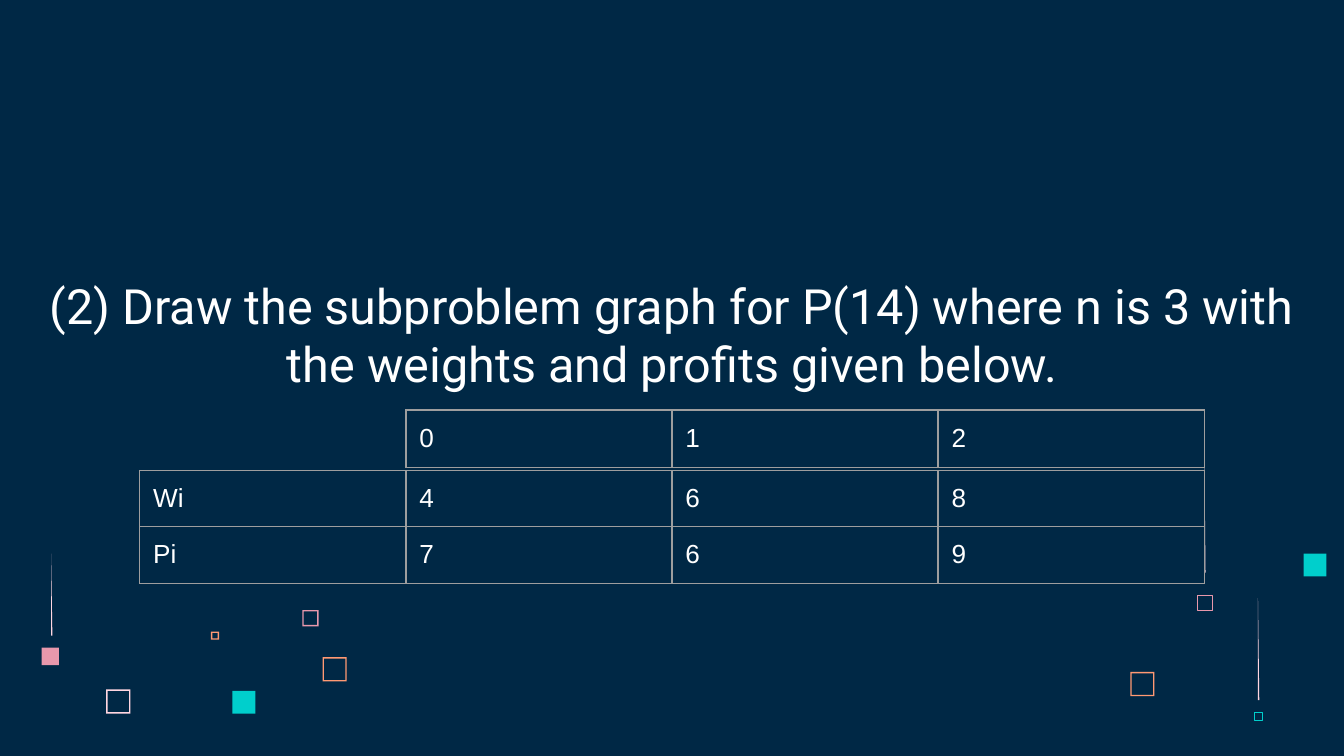
from lxml import etree
from pptx import Presentation
from pptx.dml.color import RGBColor
from pptx.enum.shapes import MSO_SHAPE
from pptx.enum.text import MSO_ANCHOR, MSO_AUTO_SIZE, PP_ALIGN
from pptx.oxml.ns import qn
from pptx.util import Inches, Pt

FRAME, SQUARE = MSO_SHAPE.FRAME, MSO_SHAPE.RECTANGLE
BOTTOM, CENTER, NO_FIT = MSO_ANCHOR.BOTTOM, PP_ALIGN.CENTER, MSO_AUTO_SIZE.NONE

NAVY = RGBColor(0x00, 0x28, 0x45)
WHITE = RGBColor(0xFF, 0xFF, 0xFF)
GREY = RGBColor(0x9E, 0x9E, 0x9E)
TEAL = RGBColor(0x00, 0xCF, 0xCC)
ROSE = RGBColor(0xE8, 0x98, 0xAC)
BLUSH = RGBColor(0xFF, 0xD6, 0xE1)
ORANGE = RGBColor(0xFF, 0x99, 0x73)

SLIDE_WIDTH = Inches(10)
SLIDE_HEIGHT = SLIDE_WIDTH * 9 // 16
UNIT = SLIDE_WIDTH // 1000
MARGIN = 10 * UNIT
TABLE_COLUMN = 198

TITLE = ("(2) Draw the subproblem graph for P(14) where n is 3 with "
         "the weights and profits given below.")
INDEX_ROWS = [["0", "1", "2"]]
VALUE_ROWS = [["Wi", "4", "6", "8"], ["Pi", "7", "6", "9"]]

LEFT_SQUARES = [
    (FRAME, 48, 101, 18, BLUSH),
    (FRAME, 194, 42, 12, ROSE),
    (FRAME, 126, 58, 6, ORANGE),
    (FRAME, 209, 77, 18, ORANGE),
    (SQUARE, 142, 102, 17, TEAL),
    (SQUARE, 0, 70, 13, ROSE),
]
LEFT_STREAKS = [(7, 0, 61)]
RIGHT_SQUARES = [
    (FRAME, 0, 171, 18, ORANGE),
    (SQUARE, 129, 83, 17, TEAL),
]
RIGHT_OUTLINES = [
    (SQUARE, 50, 114, 11, ROSE),
    (SQUARE, 92, 201, 6, TEAL),
]
RIGHT_STREAKS = [(55, 0, 97), (95, 116, 76)]


def paint(shape, color):
    """Give a shape a plain fill with no outline or shadow."""
    shape.shadow.inherit = False
    shape.fill.solid()
    shape.fill.fore_color.rgb = color
    shape.line.fill.background()


def outline(shape, color):
    """Give a shape a hairline outline with no fill or shadow."""
    shape.shadow.inherit = False
    shape.fill.background()
    shape.line.color.rgb = color
    shape.line.width = Pt(0.23)


def add_squares(slide, left, top, squares, finish):
    """Scatter squares from the corner of a region in the given finish."""
    for kind, column, row, size, color in squares:
        square = slide.shapes.add_shape(
            kind, (left + column) * UNIT, (top + row) * UNIT, size * UNIT, size * UNIT)
        if kind == FRAME:
            square.adjustments[0] = 1 / size
        finish(square, color)


def add_streaks(slide, left, top, streaks):
    """Draw tapering vertical streaks from the corner of a region."""
    for column, row, length in streaks:
        x, y = left + column, top + row
        builder = slide.shapes.build_freeform(x, y, scale=UNIT)
        builder.add_line_segments([(x, y + length), (x + 1, y + length)])
        paint(builder.convert_to_shape(), BLUSH)


def format_font(font, name, size):
    """Set a white font of the given name and point size."""
    font.name, font.size, font.color.rgb = name, Pt(size), WHITE


def add_title(slide, left, top, width, height):
    """Place the question in the title placeholder."""
    title = slide.shapes.title
    title.left, title.top = left * UNIT, top * UNIT
    title.width, title.height = width * UNIT, height * UNIT
    frame = title.text_frame
    frame.text = TITLE
    frame.word_wrap, frame.auto_size = True, NO_FIT
    frame.vertical_anchor = BOTTOM
    frame.margin_left = frame.margin_right = MARGIN
    frame.margin_top = frame.margin_bottom = MARGIN
    paragraph = frame.paragraphs[0]
    paragraph.alignment = CENTER
    format_font(paragraph.runs[0].font, "Roboto", 26)


def outline_cell(cell):
    """Draw a thin grey border on each side of a cell."""
    properties = cell._tc.get_or_add_tcPr()
    for side in ("a:lnL", "a:lnR", "a:lnT", "a:lnB"):
        line = etree.SubElement(properties, qn(side), w=str(Pt(0.75)))
        fill = etree.SubElement(line, qn("a:solidFill"))
        etree.SubElement(fill, qn("a:srgbClr"), val=str(GREY))


def add_grid_table(slide, left, top, row_height, rows):
    """Add an unfilled, outlined table of equal columns."""
    table = slide.shapes.add_table(
        len(rows), len(rows[0]), left * UNIT, top * UNIT,
        len(rows[0]) * TABLE_COLUMN * UNIT, len(rows) * row_height * UNIT).table
    table.first_row = table.horz_banding = False
    for row_index, row in enumerate(rows):
        for column_index, text in enumerate(row):
            cell = table.cell(row_index, column_index)
            cell.text = text
            cell.margin_left = cell.margin_right = MARGIN
            cell.margin_top = cell.margin_bottom = MARGIN
            format_font(cell.text_frame.paragraphs[0].runs[0].font, "Arial", 14)
            outline_cell(cell)
            cell.fill.background()


def main():
    """Build and save the slide."""
    presentation = Presentation()
    presentation.slide_width, presentation.slide_height = SLIDE_WIDTH, SLIDE_HEIGHT
    slide = presentation.slides.add_slide(presentation.slide_layouts[0])
    slide.background.fill.solid()
    slide.background.fill.fore_color.rgb = NAVY
    subtitle = slide.placeholders[1].element
    subtitle.getparent().remove(subtitle)
    add_squares(slide, 31, 412, LEFT_SQUARES, paint)
    add_streaks(slide, 31, 412, LEFT_STREAKS)
    add_squares(slide, 841, 329, RIGHT_SQUARES, paint)
    add_squares(slide, 841, 329, RIGHT_OUTLINES, outline)
    add_streaks(slide, 841, 329, RIGHT_STREAKS)
    add_title(slide, 5, 175, 991, 127)
    add_grid_table(slide, 104, 350, 42, VALUE_ROWS)
    add_grid_table(slide, 104 + TABLE_COLUMN, 305, 43, INDEX_ROWS)
    presentation.save("out.pptx")


if __name__ == "__main__":
    main()
